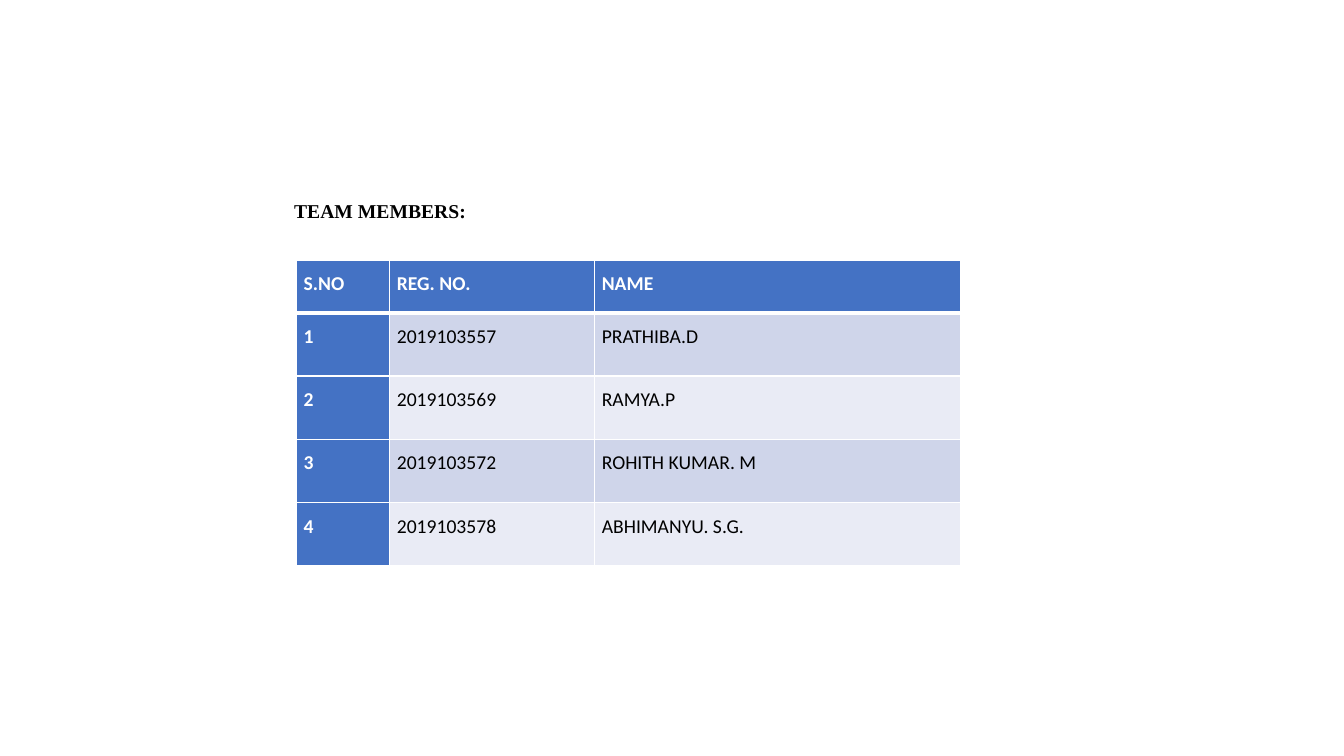
from lxml.etree import SubElement
from pptx import Presentation
from pptx.dml.color import RGBColor
from pptx.enum.text import MSO_ANCHOR
from pptx.oxml.ns import qn
from pptx.util import Pt

HEADING = "TEAM MEMBERS:"
MEMBERS = [
    ("S.NO", "REG. NO.", "NAME"),
    ("1", "2019103557", "PRATHIBA.D"),
    ("2", "2019103569", "RAMYA.P"),
    ("3", "2019103572", "ROHITH KUMAR. M"),
    ("4", "2019103578", "ABHIMANYU. S.G."),
]
COLUMN_WIDTHS = (66.6, 146.4, 261.4)
HEADER_HEIGHT, MEMBER_HEIGHT = 37.6, 45.2
TABLE_LEFT, TABLE_TOP = 211.9, 185.8

WHITE = RGBColor(0xFF, 0xFF, 0xFF)
BLACK = RGBColor(0x00, 0x00, 0x00)
BLUE = RGBColor(0x44, 0x72, 0xC4)
BANDS = (RGBColor(0xE9, 0xEB, 0xF5), RGBColor(0xCF, 0xD5, 0xEA))

CELL_FORMAT = {"margin_left": Pt(5), "margin_right": Pt(5), "margin_top": 0, "margin_bottom": 0}
CELL_PARAGRAPH = {"line_spacing": 1.5, "space_after": Pt(8)}


def set_all(target, values):
    for name, value in values.items():
        setattr(target, name, value)


def write(paragraph, text, font_name, color, bold):
    run = paragraph.add_run()
    run.text = text
    set_all(run.font, {"name": font_name, "size": Pt(14), "bold": bold})
    run.font.color.rgb = color


def add_borders(cell, widths):
    properties = cell._tc.get_or_add_tcPr()
    for side, width in widths.items():
        line = SubElement(properties, qn(f"a:ln{side}"), w=str(Pt(width)))
        fill = SubElement(line, qn("a:solidFill"))
        SubElement(fill, qn("a:srgbClr"), val=str(WHITE))


def add_heading(slide):
    box = slide.shapes.add_textbox(Pt(203), Pt(138.2), Pt(603.4), Pt(24.5))
    frame = box.text_frame
    set_all(frame, {"word_wrap": True, "vertical_anchor": MSO_ANCHOR.MIDDLE})
    write(frame.paragraphs[0], HEADING, "Times New Roman", BLACK, True)


def add_members(slide):
    heights = [HEADER_HEIGHT] + [MEMBER_HEIGHT] * (len(MEMBERS) - 1)
    table = slide.shapes.add_table(
        len(MEMBERS), len(COLUMN_WIDTHS), Pt(TABLE_LEFT), Pt(TABLE_TOP),
        Pt(sum(COLUMN_WIDTHS)), Pt(sum(heights))).table
    table.first_col = True
    for column, width in zip(table.columns, COLUMN_WIDTHS):
        column.width = Pt(width)
    for row, height in zip(table.rows, heights):
        row.height = Pt(height)
    for row_index, member in enumerate(MEMBERS):
        for column_index, text in enumerate(member):
            cell = table.cell(row_index, column_index)
            is_header = row_index == 0 or column_index == 0
            set_all(cell, CELL_FORMAT)
            add_borders(cell, {"L": 1, "R": 1, "T": 3 if row_index == 1 else 1,
                               "B": 3 if row_index == 0 else 1})
            cell.fill.solid()
            cell.fill.fore_color.rgb = BLUE if is_header else BANDS[row_index % 2]
            paragraph = cell.text_frame.paragraphs[0]
            set_all(paragraph, CELL_PARAGRAPH)
            write(paragraph, text, "Calibri", WHITE if is_header else BLACK, is_header)


def main():
    presentation = Presentation()
    set_all(presentation, {"slide_width": Pt(960), "slide_height": Pt(540)})
    slide = presentation.slides.add_slide(presentation.slide_layouts[6])
    add_members(slide)
    add_heading(slide)
    presentation.save("out.pptx")


if __name__ == "__main__":
    main()
